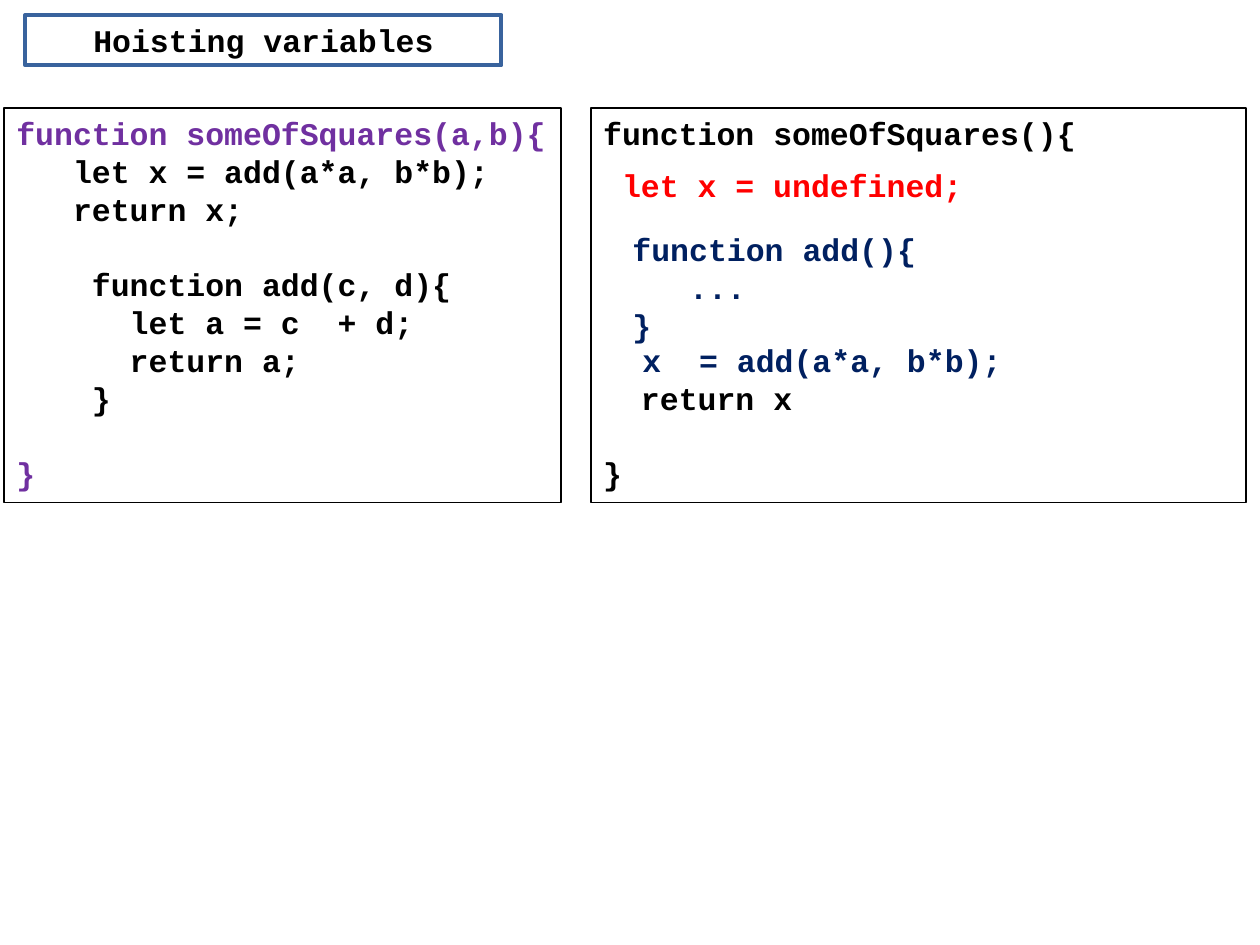
from pptx import Presentation
from pptx.dml.color import RGBColor
from pptx.enum.shapes import MSO_SHAPE as Preset
from pptx.enum.text import MSO_ANCHOR as Anchor, PP_ALIGN as Align
from pptx.util import Cm, Pt

COLORS = {
    "black": "000000", "white": "FFFFFF", "frame": "39639D",
    "purple": "7030A0", "red": "FF0000", "navy": "002060",
}
FONT_SIZE = 18
LINE_HEIGHT = 21.6
CHAR_WIDTH = 0.381  # one monospaced character at 18 pt, in cm


def add_box(page, place, outline=None, weight=1):
    """Add a rectangle, or a plain text box when no outline is given."""
    left, top, width, height = (Cm(length) for length in place)
    if outline is None:
        box = page.shapes.add_textbox(left, top, width, height)
    else:
        box = page.shapes.add_shape(Preset.RECTANGLE, left, top, width, height)
        box.shadow.inherit = False
        box.fill.background()
        box.line.color.rgb = RGBColor.from_string(COLORS[outline])
        box.line.width = Pt(weight)
    box.text_frame.word_wrap = True
    box.text_frame.vertical_anchor = Anchor.TOP
    return box


def write_lines(box, lines, align=Align.LEFT):
    """Write (text, color, indent in characters, empty lines above) rows."""
    frame = box.text_frame
    for number, (text, color, indent, gap) in enumerate(lines):
        para = frame.add_paragraph() if number else frame.paragraphs[0]
        para.alignment = align
        para.line_spacing = Pt(LINE_HEIGHT)
        para.space_before = Pt(gap * LINE_HEIGHT)
        if indent:
            properties = para._p.get_or_add_pPr()
            properties.set("marL", str(Cm(indent * CHAR_WIDTH)))
            properties.set("indent", "0")
        span = para.add_run()
        span.text = text
        span.font.name = "Courier New"
        span.font.size = Pt(FONT_SIZE)
        span.font.bold = True
        span.font.color.rgb = RGBColor.from_string(COLORS[color])


deck = Presentation()
deck.slide_width, deck.slide_height = Cm(25.4), Cm(19.05)
page = deck.slides.add_slide(deck.slide_layouts[6])

# Code panels: written code on the left, hoisted order on the right
panels = [
    ((0.08, 2.18, 11.23, 7.95), [
        ("function someOfSquares(a,b){", "purple", 0, 0),
        ("let x = add(a*a, b*b);", "black", 3, 0),
        ("return x;", "black", 3, 0),
        ("function add(c, d){", "black", 4, 1),
        ("let a = c  + d;", "black", 6, 0),
        ("return a;", "black", 6, 0),
        ("}", "black", 4, 0),
        ("}", "purple", 0, 1),
    ]),
    ((11.91, 2.18, 13.21, 7.95), [
        ("function someOfSquares(){", "black", 0, 0),
        ("return x", "black", 2, 6),
        ("}", "black", 0, 1),
    ]),
]
for place, lines in panels:
    write_lines(add_box(page, place, "black"), lines)

# Statements laid over the right panel
snippets = [
    ((12.29, 3.23, 8.61, 1.02), [("let x = undefined;", "red", 0, 0)]),
    ((12.5, 4.52, 8.61, 2.57), [
        ("function add(){", "navy", 0, 0),
        ("...", "navy", 3, 0),
        ("}", "navy", 0, 0),
    ]),
    ((12.7, 6.76, 8.61, 1.02), [("x  = add(a*a, b*b);", "navy", 0, 0)]),
]
for place, lines in snippets:
    write_lines(add_box(page, place), lines)

# Title
title = add_box(page, (0.51, 0.3, 9.6, 1.02), "frame", 2.25)
title.fill.solid()
title.fill.fore_color.rgb = RGBColor.from_string(COLORS["white"])
title.text_frame.vertical_anchor = Anchor.MIDDLE
write_lines(title, [("Hoisting variables", "black", 0, 0)], Align.CENTER)

deck.save("out.pptx")
